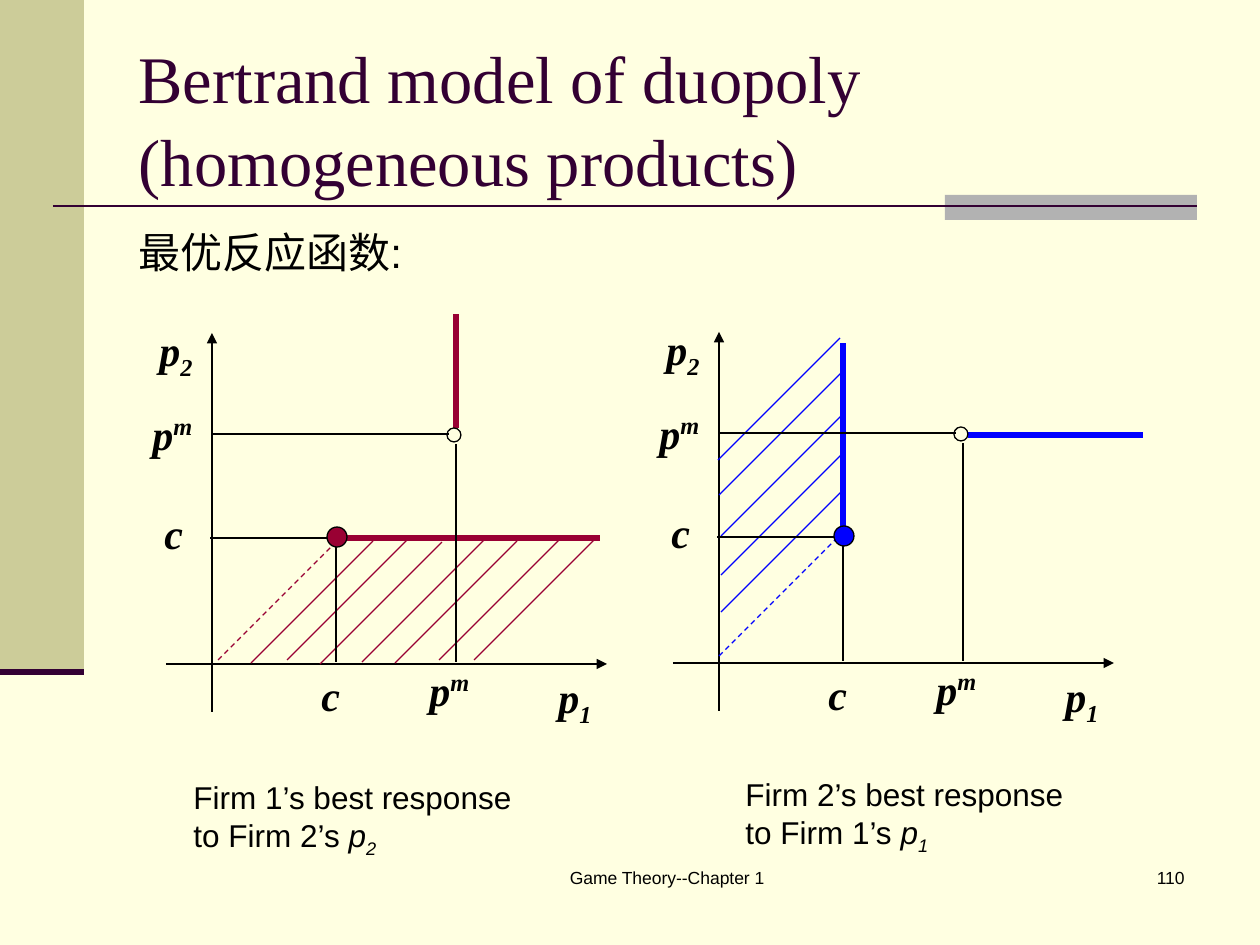
from pptx import Presentation
from pptx.dml.color import RGBColor
from pptx.enum.dml import MSO_LINE as Dash
from pptx.enum.shapes import MSO_CONNECTOR as Conn, MSO_SHAPE as Shape
from pptx.enum.text import MSO_ANCHOR as Anchor, MSO_AUTO_SIZE as Auto, PP_ALIGN as Align
from pptx.oxml.ns import qn
from pptx.util import Pt
from lxml.etree import SubElement

PX = 914400 / 126
SERIF, SANS = "Times New Roman", "Arial"
BLACK, PLUM, RED, BLUE = "000000", "330033", "990033", "0000FF"
hue = RGBColor.from_string

prs = Presentation()
prs.slide_width, prs.slide_height = int(1260 * PX), int(945 * PX)
slide = prs.slides.add_slide(prs.slide_layouts[5])
shapes = slide.shapes
slide.background.fill.solid()
slide.background.fill.fore_color.rgb = hue("FFFFE1")


def line(ends, color=BLACK, width=0.75, dash=None, arrow=False):
    rule = shapes.add_connector(Conn.STRAIGHT, *[int(v * PX) for v in ends])
    rule.line.color.rgb = hue(color)
    rule.line.width = Pt(width)
    if dash:
        rule.line.dash_style = dash
    if arrow:
        SubElement(rule.line._get_or_add_ln(), qn("a:tailEnd"), type="triangle")
    SubElement(rule._element.spPr, qn("a:effectLst"))


def text(area, runs, size, font=SANS, bold=False, align=Align.LEFT):
    """Each run is (words, italic, baseline shift in percent)."""
    frame = shapes.add_textbox(*[int(v * PX) for v in area]).text_frame
    frame.word_wrap = True
    para = frame.paragraphs[0]
    para.alignment = align
    para.font.size, para.font.name, para.font.bold = Pt(size), font, bold
    para.font.color.rgb = hue(BLACK)
    for words, slant, shift in runs:
        run = para.add_run()
        run.text = words
        run.font.italic = slant
        if shift:
            run.font._element.set("baseline", str(shift * 1000))


# Side band, title accent and rules
for area, color in (((0, 0, 84, 672), "CCCC99"), ((945, 195, 252, 25), "B2B2B2")):
    band = shapes.add_shape(Shape.RECTANGLE, *[int(v * PX) for v in area])
    band.shadow.inherit = False
    band.fill.solid()
    band.fill.fore_color.rgb = hue(color)
    band.line.fill.background()
line((53, 206, 1197, 206), PLUM, 1.5)
line((0, 672, 84, 672), PLUM, 3.5)

# Title
title = shapes.title
title.left, title.top, title.width, title.height = [
    int(v * PX) for v in (126, 38, 1071, 157)]
frame = title.text_frame
frame.text = "Bertrand model of duopoly (homogeneous products)"
frame.auto_size = Auto.NONE
frame.vertical_anchor = Anchor.MIDDLE
head = frame.paragraphs[0]
head.alignment = Align.LEFT
head.line_spacing = 1.05
head.font.size, head.font.name = Pt(38), SERIF
head.font.color.rgb = hue(PLUM)

# Subheading and footer
text((126, 220, 1071, 69), [("最优反应函数:", False, 0)], 24)
text((462, 861, 410, 63), [("Game Theory--Chapter 1", False, 0)], 10, align=Align.CENTER)
text((935, 861, 262, 63), [("110", False, 0)], 10, align=Align.RIGHT)

# Axes, guides and labels are the same in both graphs
axes = [(166, 664, 607, 664), (212, 712, 212, 333)]
guides = [(336, 538, 336, 662), (334, 538, 210, 538),
          (456, 444, 456, 662), (212, 434, 449, 434)]
labels = [(546, 665, 72, "p", "1", -25), (147, 318, 72, "p", "2", -25),
          (309, 663, 50, "c", "", 0), (152, 501, 50, "c", "", 0),
          (417, 658, 72, "p", "m", 34), (140, 402, 72, "p", "m", 34)]

# Per graph: shift, colour, response lines, diagonal start, hatch starts
graphs = [
    (0, 0, RED, [(338, 538, 600, 538), (456, 428, 456, 314)], (218, 660),
     [(251, 663), (287, 660), (320, 664), (362, 662), (395, 663),
      (439, 660), (474, 660)]),
    (507, -1, BLUE, [(843, 537, 843, 343), (968, 435, 1143, 435)], (719, 656),
     [(718, 460), (719, 495), (721, 536), (721, 575), (721, 612)]),
]
REACH = 122
for dx, dy, color, best, start, hatch in graphs:
    for x1, y1, x2, y2 in axes:
        line((x1 + dx, y1 + dy, x2 + dx, y2 + dy), arrow=True)
    for ends in best:
        line(ends, color, 3)
    for x, y in [start] + hatch:
        dash = Dash.DASH if (x, y) == start else None
        line((x, y, x + REACH, y - REACH), color, dash=dash)
    for x1, y1, x2, y2 in guides:
        line((x1 + dx, y1 + dy, x2 + dx, y2 + dy))
    for x, y, wide, base, mark, shift in labels:
        runs = [(base, True, 0)] + ([(mark, True, shift)] if mark else [])
        text((x + dx, y + dy, wide, 63), runs, 24, SERIF, True)

    # Open point at the monopoly price, solid point at cost
    for x, y, size, fill in ((447, 428, 14, None), (327, 527, 20, color)):
        dot = shapes.add_shape(
            Shape.OVAL, *[int(v * PX) for v in (x + dx, y + dy, size, size)])
        dot.shadow.inherit = False
        dot.line.color.rgb = hue(BLACK)
        dot.line.width = Pt(0.75)
        if fill:
            dot.fill.solid()
            dot.fill.fore_color.rgb = hue(fill)
        else:
            dot.fill.background()

# Captions
for x, y, firm, rival in ((181, 772, "1", "2"), (733, 769, "2", "1")):
    text((x, y, 370, 88), [(f"Firm {firm}’s best response to Firm {rival}’s ", False, 0),
                           ("p", True, 0), (rival, True, -25)], 18)

prs.save("out.pptx")
